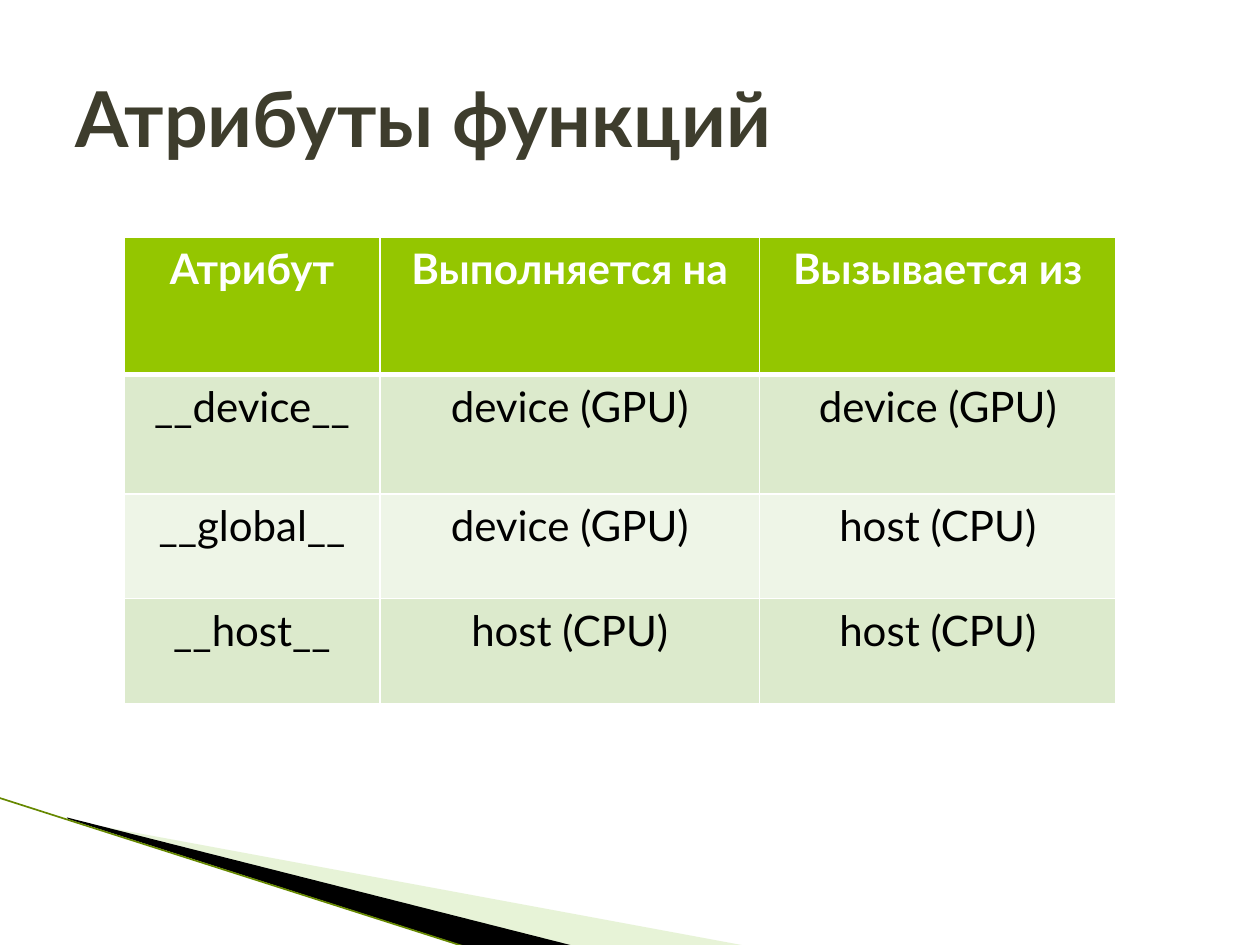
"""Build a slide with a table of function attributes."""
from dataclasses import dataclass

from lxml.etree import SubElement
from pptx import Presentation
from pptx.dml.color import RGBColor
from pptx.enum.shapes import MSO_CONNECTOR
from pptx.enum.text import MSO_ANCHOR, PP_ALIGN
from pptx.oxml import parse_xml
from pptx.oxml.ns import nsdecls, qn
from pptx.util import Cm, Pt

TITLE = "Атрибуты функций"
ROWS = [
    ("Атрибут", "Выполняется на", "Вызывается из"),
    ("__device__", "device (GPU)", "device (GPU)"),
    ("__global__", "device (GPU)", "host (CPU)"),
    ("__host__", "host (CPU)", "host (CPU)"),
]
WIDTHS = (5.16, 7.65, 7.19)
HEIGHTS = (2.77, 2.41, 2.11, 2.11)
PALE = [(1.4, 16.54), (15.11, 19.08), (11.58, 19.08), (1.4, 16.51)]
DARK = [(1.35, 16.48), (11.61, 19.08), (9.45, 19.1), (1.37, 16.51)]
EDGE = (-0.03, 16.08, 9.42, 19.1)


@dataclass(frozen=True)
class Theme:
    """Colours, font and type sizes."""

    font: str = "Lato"
    title: str = "3E3D2D"
    text: str = "000000"
    white: str = "FFFFFF"
    head: str = "94C600"
    bands: tuple = ("DCEACC", "EEF5E7")
    pale: str = "C3E19D"
    edge: str = "668800"
    big: int = 44
    body: int = 24


THEME = Theme()


def paint(fill, color):
    fill.solid()
    fill.fore_color.rgb = RGBColor.from_string(color)


def write(frame, text, size, color, bold, align):
    frame.text = text
    for par in frame.paragraphs:
        par.alignment = align
        for run in par.runs:
            font = run.font
            font.name, font.size, font.bold = THEME.font, Pt(size), bold
            font.color.rgb = RGBColor.from_string(color)


def wedge(slide, points, color):
    spots = [(Cm(x), Cm(y)) for x, y in points]
    pen = slide.shapes.build_freeform(*spots[0])
    pen.add_line_segments(spots[1:], close=True)
    shape = pen.convert_to_shape()
    shape.shadow.inherit = False
    shape.line.fill.background()
    paint(shape.fill, color)
    return shape


def border(cell, top, bottom):
    props = cell._tc.get_or_add_tcPr()
    sides = {"L": 1, "R": 1, "T": top, "B": bottom}
    for spot, (side, width) in enumerate(sides.items()):
        props.insert(spot, parse_xml(
            f'<a:ln{side} {nsdecls("a")} w="{Pt(width)}"><a:solidFill>'
            f'<a:srgbClr val="{THEME.white}"/></a:solidFill></a:ln{side}>'))


def decor(slide):
    pale = wedge(slide, PALE, THEME.pale)
    tint = next(pale._element.spPr.iter(qn("a:srgbClr")))
    SubElement(tint, qn("a:alpha"), val="40000")
    wedge(slide, DARK, THEME.text)
    edge = slide.shapes.add_connector(
        MSO_CONNECTOR.STRAIGHT, *(Cm(part) for part in EDGE))
    edge.line.width = Pt(0.95)
    edge.line.color.rgb = RGBColor.from_string(THEME.edge)
    SubElement(edge._element.spPr, qn("a:effectLst"))


def head(slide):
    title = slide.shapes.title
    title.left, title.top = Cm(1.27), Cm(0.76)
    title.width, title.height = Cm(22.86), Cm(3.18)
    title.text_frame.vertical_anchor = MSO_ANCHOR.MIDDLE
    write(title.text_frame, TITLE, THEME.big, THEME.title, True, PP_ALIGN.LEFT)


def grid(slide):
    table = slide.shapes.add_table(
        len(ROWS), len(WIDTHS), Cm(2.5), Cm(4.78),
        Cm(sum(WIDTHS)), Cm(sum(HEIGHTS))).table
    for col, width in zip(table.columns, WIDTHS):
        col.width = Cm(width)
    for row, height in zip(table.rows, HEIGHTS):
        row.height = Cm(height)
    for r, texts in enumerate(ROWS):
        first = r == 0
        fill = THEME.head if first else THEME.bands[(r - 1) % 2]
        color = THEME.white if first else THEME.text
        for c, text in enumerate(texts):
            cell = table.cell(r, c)
            paint(cell.fill, fill)
            border(cell, 3 if r == 1 else 1, 3 if first else 1)
            write(cell.text_frame, text, THEME.body, color, first,
                  PP_ALIGN.CENTER)


def main():
    deck = Presentation()
    deck.slide_width, deck.slide_height = Cm(25.4), Cm(19.05)
    slide = deck.slides.add_slide(deck.slide_layouts[5])
    decor(slide)
    head(slide)
    grid(slide)
    deck.save("out.pptx")


main()
